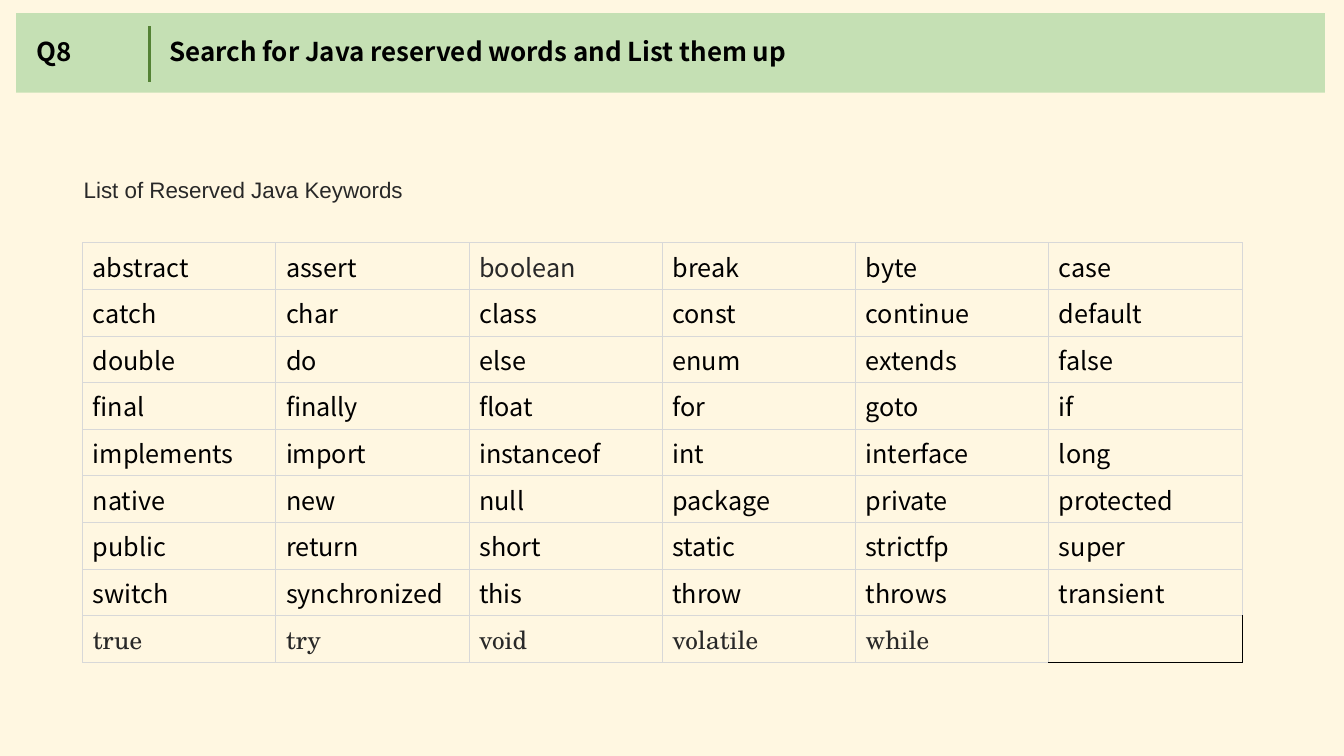
"""Build the slide that lists the reserved words of Java."""
from dataclasses import dataclass

from lxml import etree
from pptx import Presentation
from pptx import util as u
from pptx.dml import color
from pptx.enum import shapes, text
from pptx.oxml import ns

SANS = "Noto Sans CJK KR"
SERIF = "TeX Gyre Schola"
BLACK, GREY, RULE = "000000", "282828", "D8D8D8"
COLUMNS = 6
ROW_HEIGHT = 0.46
KEYWORDS = """
abstract assert boolean break byte case
catch char class const continue default
double do else enum extends false
final finally float for goto if
implements import instanceof int interface long
native new null package private protected
public return short static strictfp super
switch synchronized this throw throws transient
true try void volatile while
""".split()


@dataclass
class Box:
    left: float
    top: float
    width: float
    height: float

    def lengths(self) -> list:
        return [u.Inches(v) for v in (self.left, self.top, self.width, self.height)]


@dataclass
class Label:
    words: str
    box: Box
    font: dict
    frame: dict


HEADING_FONT = {"name": SANS, "size": u.Pt(18.5), "bold": True, "color": BLACK}
HEADING_FRAME = {"vertical_anchor": text.MSO_ANCHOR.MIDDLE}
NUMBER = Label("Q8", Box(0.26, 0.35, 1.12, 0.37), HEADING_FONT, HEADING_FRAME)
TITLE = Label("Search for Java reserved words and List them up",
              Box(1.58, 0.35, 10.17, 0.37), HEADING_FONT, HEADING_FRAME)
CAPTION = Label("List of Reserved Java Keywords", Box(0.83, 1.75, 3.52, 0.57),
                {"name": "Arial", "size": u.Pt(16), "color": GREY},
                {"vertical_anchor": text.MSO_ANCHOR.TOP, "margin_left": 0,
                 "margin_right": 0, "margin_top": 0, "margin_bottom": 0})


def rgb(value: str) -> color.RGBColor:
    return color.RGBColor.from_string(value)


def apply(target, values: dict) -> None:
    for name, value in values.items():
        if name == "color":
            target.color.rgb = rgb(value)
        else:
            setattr(target, name, value)


def fill_label(shape, label: Label) -> None:
    shape.left, shape.top, shape.width, shape.height = label.box.lengths()
    frame = shape.text_frame
    frame.text = label.words
    apply(frame, {"word_wrap": True, "auto_size": text.MSO_AUTO_SIZE.NONE, **label.frame})
    paragraph = frame.paragraphs[0]
    if shape.is_placeholder:
        properties = paragraph._p.get_or_add_pPr()
        properties.set("marL", "0")
        properties.set("indent", "0")
        etree.SubElement(properties, ns.qn("a:buNone"))
        apply(paragraph, {"line_spacing": 0.8, "space_before": u.Pt(0)})
    paragraph.alignment = text.PP_ALIGN.LEFT
    apply(paragraph.runs[0].font, label.font)


def add_band(slide) -> None:
    band = slide.shapes.add_shape(shapes.MSO_SHAPE.RECTANGLE,
                                  *Box(0.16, 0.13, 12.98, 0.79).lengths())
    band.shadow.inherit = False
    band.fill.solid()
    band.fill.fore_color.rgb = rgb("C5E0B4")
    band.line.fill.background()
    divider = slide.shapes.add_connector(
        shapes.MSO_CONNECTOR.STRAIGHT,
        u.Inches(1.48), u.Inches(0.26), u.Inches(1.48), u.Inches(0.81))
    apply(divider.line, {"color": "548235", "width": u.Pt(2.25)})
    etree.SubElement(divider.element.spPr, ns.qn("a:effectLst"))
    for shape in (band, divider):
        slide.shapes.title.element.addprevious(shape.element)


def set_borders(cell, colours: dict) -> None:
    properties = cell._tc.get_or_add_tcPr()
    for side, colour in colours.items():
        line = etree.SubElement(properties, ns.qn(f"a:ln{side}"), w=str(u.Pt(0.75)))
        fill = etree.SubElement(line, ns.qn("a:solidFill"))
        etree.SubElement(fill, ns.qn("a:srgbClr"), val=colour)


def add_keywords(slide) -> None:
    rows = -(-len(KEYWORDS) // COLUMNS)
    box = Box(0.82, 2.41, 11.5, ROW_HEIGHT * rows)
    table = slide.shapes.add_table(rows, COLUMNS, *box.lengths()).table
    apply(table, {"first_row": False, "horz_banding": False})
    for index, cell in enumerate(table.iter_cells()):
        is_empty = index >= len(KEYWORDS)
        outer = BLACK if is_empty else RULE
        set_borders(cell, {"L": RULE, "R": outer, "T": RULE, "B": outer})
        cell.fill.background()
        if is_empty:
            continue
        cell.text = KEYWORDS[index]
        in_last_row = index // COLUMNS == rows - 1
        is_grey = in_last_row or KEYWORDS[index] == "boolean"
        apply(cell.text_frame.paragraphs[0].runs[0].font,
              {"name": SERIF if in_last_row else SANS, "size": u.Pt(18),
               "color": GREY if is_grey else BLACK})


def main() -> None:
    presentation = Presentation()
    apply(presentation, {"slide_width": u.Inches(13.33), "slide_height": u.Inches(7.5)})
    slide = presentation.slides.add_slide(presentation.slide_layouts[1])
    slide.background.fill.solid()
    slide.background.fill.fore_color.rgb = rgb("FFF7E1")
    add_band(slide)
    fill_label(slide.placeholders[1], NUMBER)
    fill_label(slide.shapes.title, TITLE)
    add_keywords(slide)
    fill_label(slide.shapes.add_textbox(*CAPTION.box.lengths()), CAPTION)
    presentation.save("out.pptx")


if __name__ == "__main__":
    main()
